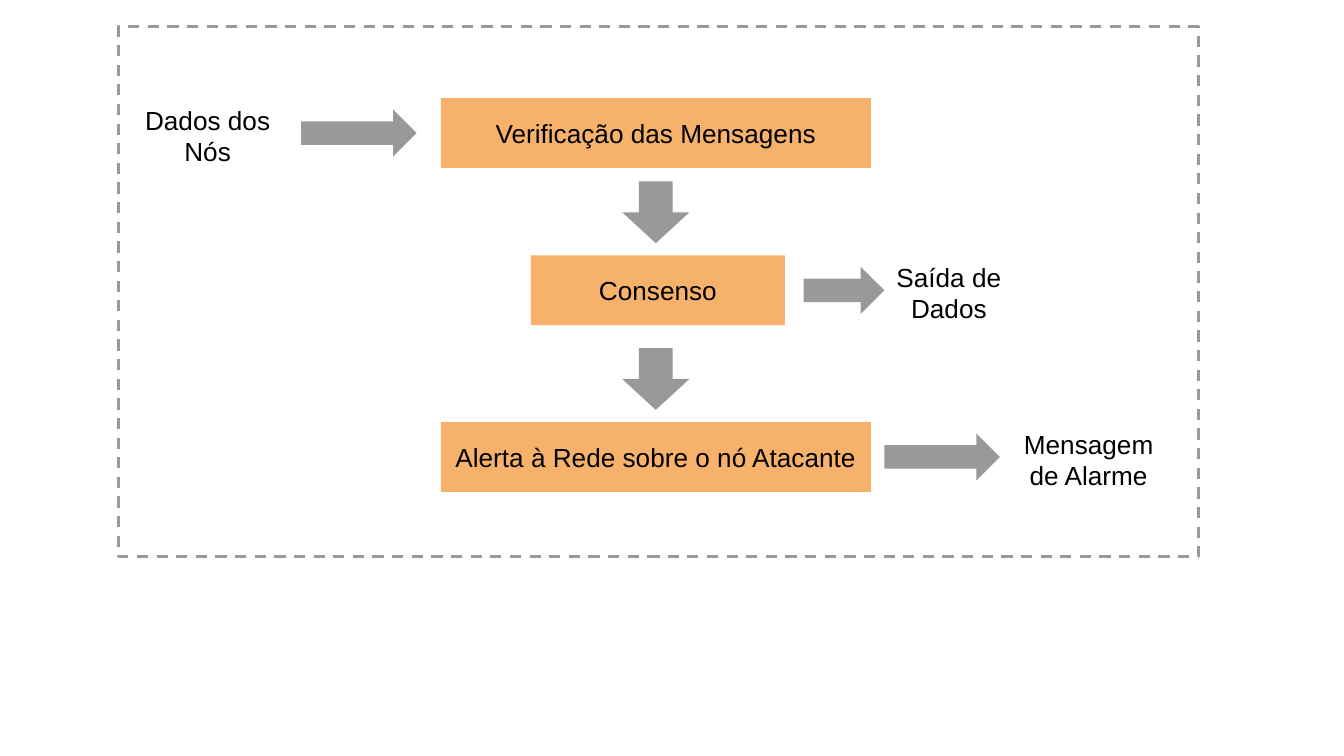
import pptx
import pptx.util
import pptx.dml.color
import pptx.enum.dml
import pptx.enum.shapes
import pptx.enum.text

SHAPE = pptx.enum.shapes.MSO_SHAPE
ANCHOR = pptx.enum.text.MSO_ANCHOR
GREY, ORANGE, BLACK = "999999", "F6B26B", "000000"
STAGE_H, ARROW_H, LABEL_H = 0.52, 0.35, 0.63


def color(value):
    return pptx.dml.color.RGBColor.from_string(value)


def inches(*values):
    return [pptx.util.Inches(v) for v in values]


def add_shape(s, kind, x, y, w, h, fill=None):
    sp = s.shapes.add_shape(kind, *inches(x, y, w, h))
    sp.shadow.inherit = False
    sp.line.fill.background()
    if fill:
        sp.fill.solid()
        sp.fill.fore_color.rgb = color(fill)
    else:
        sp.fill.background()
    return sp


def set_text(sp, text, anchor):
    tf = sp.text_frame
    tf.text = text
    tf.word_wrap = True
    tf.vertical_anchor = anchor
    tf.margin_left = tf.margin_right = tf.margin_top = tf.margin_bottom = pptx.util.Inches(0.1)
    p = tf.paragraphs[0]
    p.alignment = pptx.enum.text.PP_ALIGN.CENTER
    font = p.runs[0].font
    font.name, font.size = "Arial", pptx.util.Pt(14)
    font.color.rgb = color(BLACK)


def add_frame(s, x, y, w, h):
    sp = add_shape(s, SHAPE.RECTANGLE, x, y, w, h)
    sp.line.color.rgb = color(GREY)
    sp.line.width = pptx.util.Pt(1.5)
    sp.line.dash_style = pptx.enum.dml.MSO_LINE.DASH


def add_stage(s, x, middle, stage, arrow, label):
    """Places a stage, its side arrow and its label around one centre line."""
    # Stage box
    text, dx, w = stage
    sp = add_shape(s, SHAPE.RECTANGLE, x + dx, middle - STAGE_H / 2, w, STAGE_H, ORANGE)
    set_text(sp, text, ANCHOR.MIDDLE)
    # Input or output arrow
    dx, w = arrow
    add_shape(s, SHAPE.RIGHT_ARROW, x + dx, middle - ARROW_H / 2, w, ARROW_H, GREY)
    # Input or output label
    text, dx, w = label
    tb = s.shapes.add_textbox(*inches(x + dx, middle - LABEL_H / 2, w, LABEL_H))
    set_text(tb, text, ANCHOR.TOP)


def add_flow(s, x, y, w, h):
    add_frame(s, x, y, w, h)
    # Centre line of each stage, then text, offset and width of its parts
    stages = [
        (0.79, ("Verificação das Mensagens", 2.4, 3.2), (1.36, 0.86), ("Dados dos Nós", 0.06, 1.21)),
        (1.96, ("Consenso", 3.07, 1.89), (5.1, 0.6), ("Saída de Dados", 5.52, 1.32)),
        (3.2, ("Alerta à Rede sobre o nó Atacante", 2.4, 3.2), (5.7, 0.86),
         ("Mensagem de Alarme", 6.56, 1.32)),
    ]
    for i, (middle, stage, arrow, label) in enumerate(stages):
        add_stage(s, x, y + middle, stage, arrow, label)
        # Arrow down from the stage above
        if i:
            add_shape(s, SHAPE.DOWN_ARROW, x + 3.75, y + middle - 0.81, 0.5, 0.46, GREY)


prs = pptx.Presentation()
prs.slide_width = pptx.util.Inches(10)
prs.slide_height = prs.slide_width * 9 // 16
s = prs.slides.add_slide(prs.slide_layouts[6])
add_flow(s, 0.88, 0.2, 8.04, 3.94)
prs.save("out.pptx")
